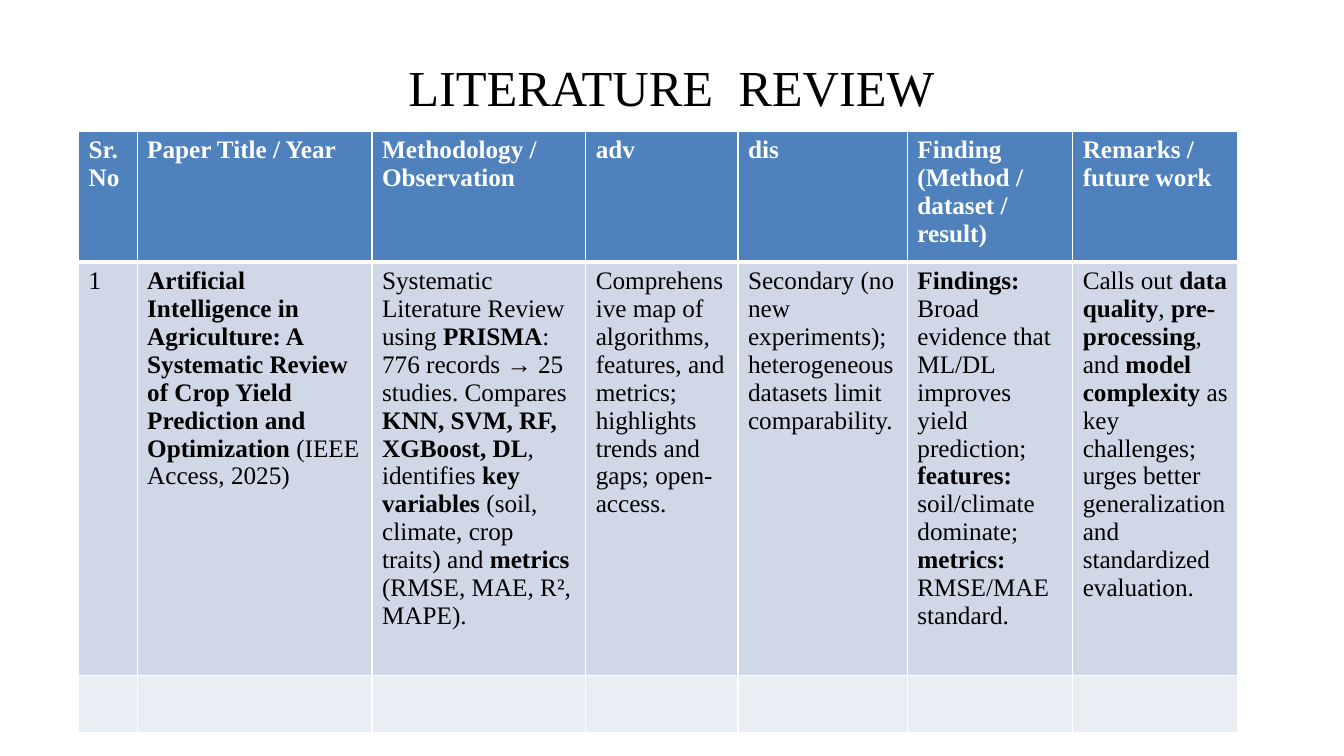
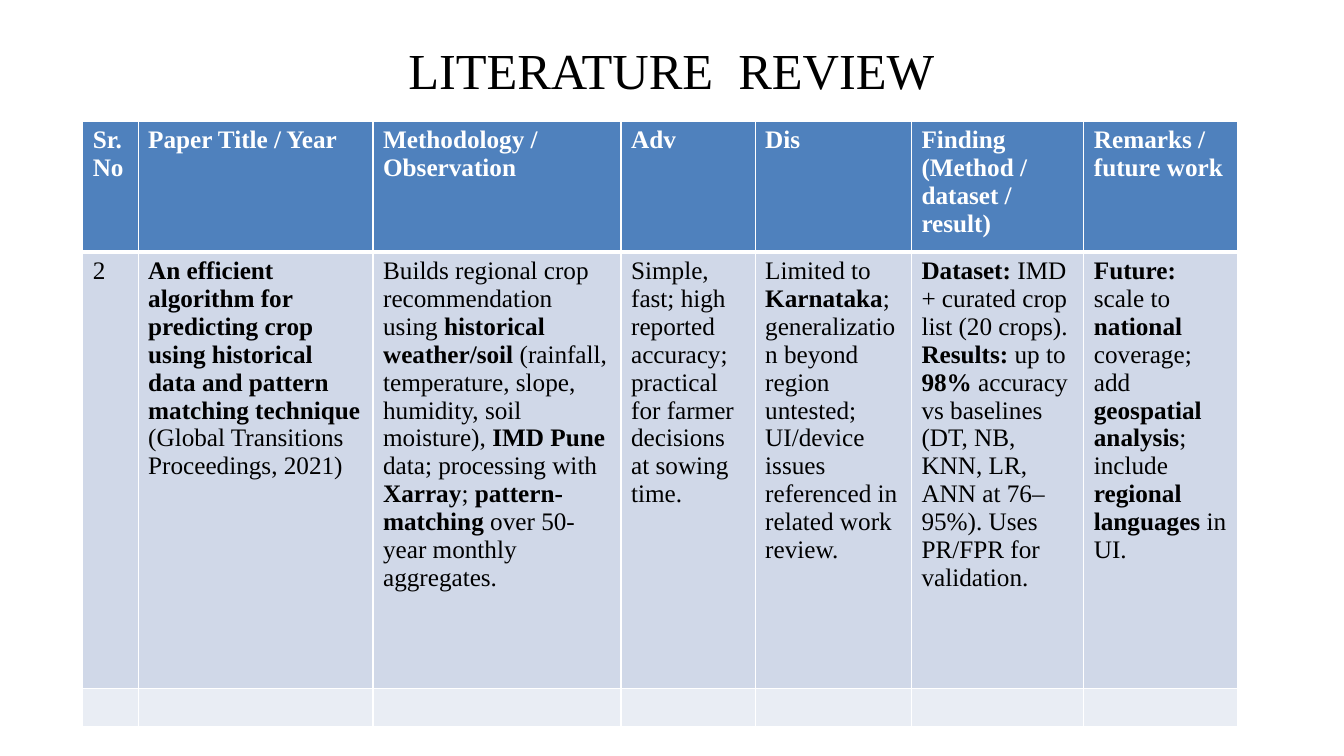
from dataclasses import dataclass

from lxml.etree import SubElement
from pptx import Presentation
from pptx.dml.color import RGBColor
from pptx.enum.text import MSO_ANCHOR, PP_ALIGN
from pptx.oxml.ns import qn
from pptx.util import Inches, Pt

FONT = "Times New Roman"
TITLE = "LITERATURE  REVIEW"
COLORS = {
    "header": "4F81BD",
    "body": "D0D8E8",
    "empty": "E9EDF4",
    "border": "FFFFFF",
    "header_text": "FFFFFF",
    "text": "000000",
}
BOLD = "**"


@dataclass(frozen=True)
class Review:
    title_top: float
    left: float
    top: float
    widths: list[float]
    heights: list[float]
    adv: str
    dis: str
    entry: list[str]

    @property
    def header(self) -> list[str]:
        return [
            "Sr. No",
            "Paper Title / Year",
            "Methodology / Observation",
            self.adv,
            self.dis,
            "Finding (Method / dataset / result)",
            "Remarks / future work",
        ]


REVIEWS = [
    Review(
        title_top=0.24,
        left=0.78,
        top=1.3,
        widths=[0.58, 2.33, 2.12, 1.51, 1.68, 1.64, 1.64],
        heights=[1.16, 4.1, 0.57],
        adv="adv",
        dis="dis",
        entry=[
            "1",
            "**Artificial Intelligence in Agriculture: A Systematic Review of Crop "
            "Yield Prediction and Optimization** (IEEE Access, 2025)",
            "Systematic Literature Review using **PRISMA**: 776 records → 25 studies. "
            "Compares **KNN, SVM, RF, XGBoost, DL**, identifies **key variables** "
            "(soil, climate, crop traits) and **metrics** (RMSE, MAE, R², MAPE).",
            "Comprehensive map of algorithms, features, and metrics; highlights "
            "trends and gaps; open-access.",
            "Secondary (no new experiments); heterogeneous datasets limit "
            "comparability.",
            "**Findings:** Broad evidence that ML/DL improves yield prediction; "
            "**features:** soil/climate dominate; **metrics:** RMSE/MAE standard.",
            "Calls out **data quality**, **pre-processing**, and **model complexity** "
            "as key challenges; urges better generalization and standardized "
            "evaluation.",
        ],
    ),
    Review(
        title_top=0.07,
        left=0.82,
        top=1.2,
        widths=[0.55, 2.33, 2.46, 1.33, 1.55, 1.71, 1.53],
        heights=[1.22, 4.33, 0.38],
        adv="Adv",
        dis="Dis",
        entry=[
            "2",
            "**An efficient algorithm for predicting crop using historical data and "
            "pattern matching technique** (Global Transitions Proceedings, 2021)",
            "Builds regional crop recommendation using **historical weather/soil** "
            "(rainfall, temperature, slope, humidity, soil moisture), **IMD Pune** "
            "data; processing with **Xarray**; **pattern-matching** over 50-year "
            "monthly aggregates.",
            "Simple, fast; high reported accuracy; practical for farmer decisions "
            "at sowing time.",
            "Limited to **Karnataka**; generalization beyond region untested; "
            "UI/device issues referenced in related work review.",
            "**Dataset:** IMD + curated crop list (20 crops). **Results:** up to "
            "**98%** accuracy vs baselines (DT, NB, KNN, LR, ANN at 76–95%). Uses "
            "PR/FPR for validation.",
            "**Future:** scale to **national** coverage; add **geospatial analysis**; "
            "include **regional languages** in UI.",
        ],
    ),
]


def style_run(r, size: float, color: str, bold: bool = False) -> None:
    r.font.name = FONT
    r.font.size = Pt(size)
    r.font.bold = bold
    r.font.color.rgb = RGBColor.from_string(COLORS[color])


def add_title(s, top: float) -> None:
    sp = s.shapes.add_textbox(Inches(0.45), Inches(top), Inches(12.42), Inches(1.23))
    tf = sp.text_frame
    tf.word_wrap = True
    tf.vertical_anchor = MSO_ANCHOR.MIDDLE
    tf.margin_left = tf.margin_right = tf.margin_top = tf.margin_bottom = Inches(0.1)
    tf.text = TITLE
    p = tf.paragraphs[0]
    p.alignment = PP_ALIGN.CENTER
    style_run(p.runs[0], 36, "text")


def set_borders(cell, top: float, bottom: float) -> None:
    tc_pr = cell._tc.get_or_add_tcPr()
    for side, width in {"L": 1, "R": 1, "T": top, "B": bottom}.items():
        ln = SubElement(tc_pr, qn(f"a:ln{side}"), w=str(Pt(width)))
        fill = SubElement(ln, qn("a:solidFill"))
        SubElement(fill, qn("a:srgbClr"), val=COLORS["border"])


def fill_cell(cell, text: str, fill: str, color: str, bold: bool) -> None:
    cell.fill.solid()
    cell.fill.fore_color.rgb = RGBColor.from_string(COLORS[fill])
    if not text:
        cell.margin_top = cell.margin_bottom = Inches(0.02)
        return
    p = cell.text_frame.paragraphs[0]
    for i, part in enumerate(text.split(BOLD)):
        if part:
            r = p.add_run()
            r.text = part
            style_run(r, 18, color, bold or i % 2 == 1)


def add_review_table(s, review: Review) -> None:
    rows = [review.header, review.entry, [""] * len(review.widths)]
    table = s.shapes.add_table(
        len(rows), len(review.widths),
        Inches(review.left), Inches(review.top),
        Inches(sum(review.widths)), Inches(sum(review.heights)),
    ).table
    table.horz_banding = False
    for column, width in zip(table.columns, review.widths):
        column.width = Inches(width)
    for row, height in zip(table.rows, review.heights):
        row.height = Inches(height)
    for i, (texts, fill) in enumerate(zip(rows, ("header", "body", "empty"))):
        is_header = fill == "header"
        for j, text in enumerate(texts):
            cell = table.cell(i, j)
            set_borders(cell, 3 if i == 1 else 1, 3 if is_header else 1)
            fill_cell(cell, text, fill, "header_text" if is_header else "text", is_header)


def main() -> None:
    prs = Presentation()
    prs.slide_width = Inches(13.33)
    prs.slide_height = Inches(7.5)
    for review in REVIEWS:
        s = prs.slides.add_slide(prs.slide_layouts[6])
        add_title(s, review.title_top)
        add_review_table(s, review)
    prs.save("out.pptx")


if __name__ == "__main__":
    main()
